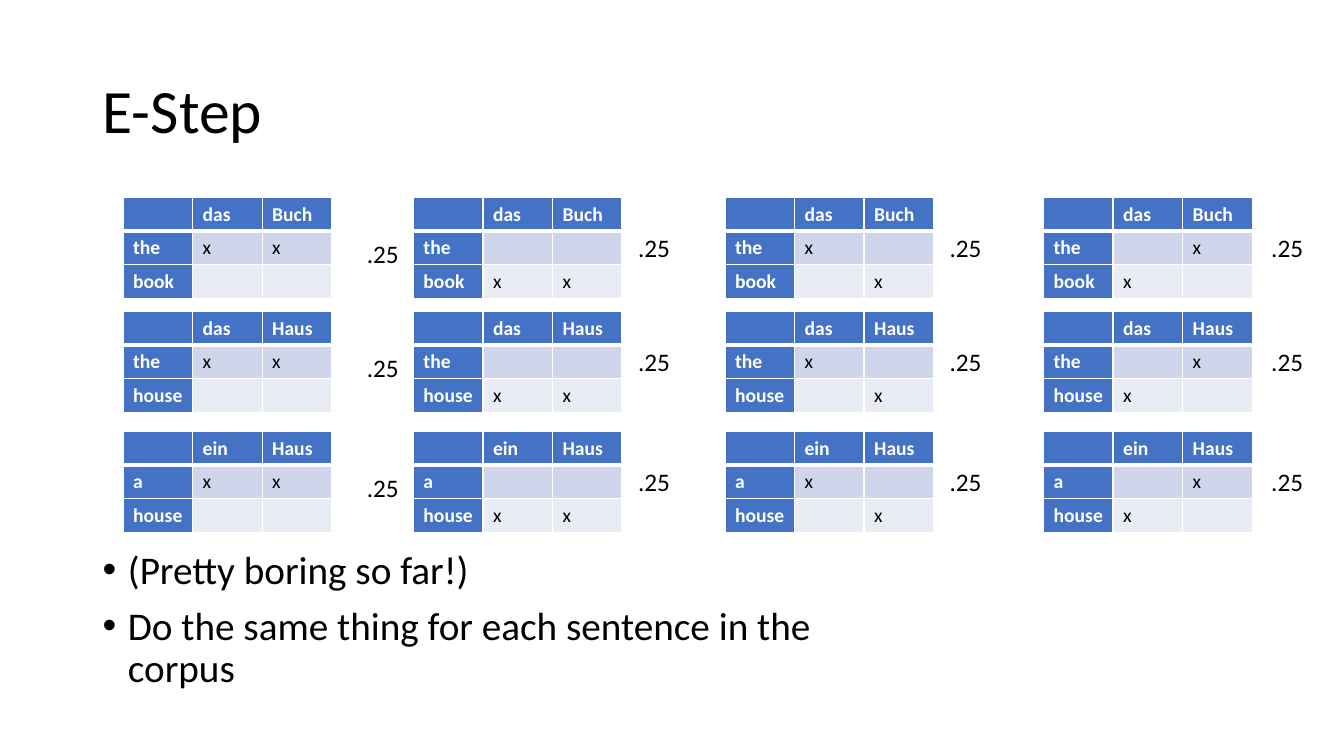
from lxml import etree
from pptx import Presentation, util as u
from pptx.dml.color import RGBColor
from pptx.enum import text
from pptx.oxml.ns import qn

TITLE = "E-Step"
BULLETS = ["(Pretty boring so far!)", "Do the same thing for each sentence in the corpus"]
WEIGHT = ".25"
SENTENCES = [
    {"german": ("das", "Buch"), "english": ("the", "book"), "top": 1.96},
    {"german": ("das", "Haus"), "english": ("the", "house"), "top": 3.09},
    {"german": ("ein", "Haus"), "english": ("a", "house"), "top": 4.28},
]
ALIGNMENTS = [
    {"marks": ("xx", "  "), "left": 1.22, "weight_left": 3.54, "weight_drop": 0.36},
    {"marks": ("  ", "xx"), "left": 4.1, "weight_left": 6.23, "weight_drop": 0.3},
    {"marks": ("x ", " x"), "left": 7.19, "weight_left": 9.32, "weight_drop": 0.3},
    {"marks": (" x", "x "), "left": 10.35, "weight_left": 12.51, "weight_drop": 0.3},
]
FONT = "Calibri"
BLACK, WHITE, BLUE = "000000", "FFFFFF", "4472C4"
BANDS = ["CFD5EA", "E9EBF5"]
COLUMN, ROW = 0.69, 0.33


def color(code):
    return RGBColor.from_string(code)


def add_run(para, words, size, code=BLACK, bold=False):
    span = para.add_run()
    span.text = words
    span.font.name = FONT
    span.font.size = u.Pt(size)
    span.font.bold = bold
    span.font.color.rgb = color(code)


def add_box(page, left, top, width, height, lines, size, wrap=True):
    box = page.shapes.add_textbox(*map(u.Inches, (left, top, width, height)))
    frame = box.text_frame
    frame.word_wrap = wrap
    for index, line in enumerate(lines):
        para = frame.add_paragraph() if index else frame.paragraphs[0]
        add_run(para, line, size)
    return frame


def add_bullet(para):
    props = para._p.get_or_add_pPr()
    props.set("marL", str(u.Inches(0.25)))
    props.set("indent", str(u.Inches(-0.25)))
    etree.SubElement(props, qn("a:buFont")).set("typeface", "Arial")
    etree.SubElement(props, qn("a:buChar")).set("char", "•")


def add_border(cell, side, points):
    props = cell._tc.get_or_add_tcPr()
    line = etree.SubElement(props, qn("a:ln" + side), w=str(u.Pt(points)))
    fill = etree.SubElement(line, qn("a:solidFill"))
    etree.SubElement(fill, qn("a:srgbClr")).set("val", WHITE)


def fill_cell(cell, words, row, column):
    heading = row == 0 or column == 0
    cell.margin_right = u.Inches(0.05)
    thick_side = {0: "B", 1: "T"}.get(row)
    for side in "LRTB":
        add_border(cell, side, 3 if side == thick_side else 1)
    cell.fill.solid()
    cell.fill.fore_color.rgb = color(BLUE if heading else BANDS[row - 1])
    para = cell.text_frame.paragraphs[0]
    if words.strip():
        add_run(para, words, 14, WHITE if heading else BLACK, heading)
    else:
        etree.SubElement(para._p, qn("a:endParaRPr")).set("sz", "1400")


def add_alignment(page, sentence, alignment):
    rows = [("", *sentence["german"])]
    rows += [(word, *marks) for word, marks in zip(sentence["english"], alignment["marks"])]
    place = (alignment["left"], sentence["top"], 3 * COLUMN, 3 * ROW)
    table = page.shapes.add_table(3, 3, *map(u.Inches, place)).table
    table.horz_banding = False
    for column in table.columns:
        column.width = u.Inches(COLUMN)
    for r, values in enumerate(rows):
        table.rows[r].height = u.Inches(ROW)
        for c, words in enumerate(values):
            fill_cell(table.cell(r, c), words, r, c)
    weight_top = sentence["top"] + alignment["weight_drop"]
    add_box(page, alignment["weight_left"], weight_top, 0.52, 0.4, [WEIGHT], 18, wrap=False)


def main():
    deck = Presentation()
    deck.slide_width, deck.slide_height = u.Inches(13.33), u.Inches(7.5)
    page = deck.slides.add_slide(deck.slide_layouts[6])

    title = add_box(page, 0.92, 0.4, 11.5, 1.45, [TITLE], 44)
    title.vertical_anchor = text.MSO_ANCHOR.MIDDLE
    title.paragraphs[0].line_spacing = 0.9

    body = add_box(page, 0.92, 5.41, 8.18, 1.81, BULLETS, 28)
    for para in body.paragraphs:
        para.line_spacing = 0.9
        para.space_before = u.Pt(10)
        add_bullet(para)

    for sentence in SENTENCES:
        for alignment in ALIGNMENTS:
            add_alignment(page, sentence, alignment)
    deck.save("out.pptx")


if __name__ == "__main__":
    main()
